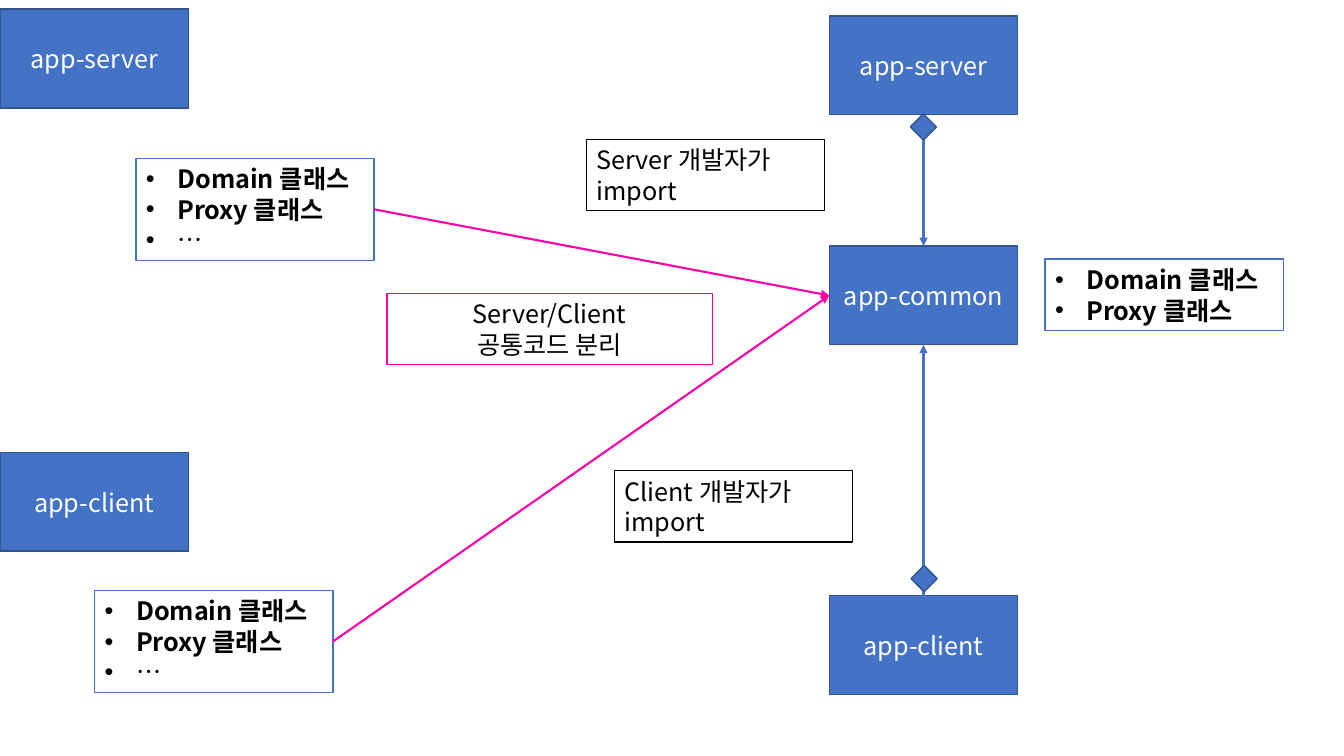
from lxml import etree
from pptx import Presentation
from pptx.dml.color import RGBColor
from pptx.enum.shapes import MSO_CONNECTOR, MSO_SHAPE
from pptx.enum.text import MSO_ANCHOR, MSO_AUTO_SIZE, PP_ALIGN
from pptx.oxml.ns import qn
from pptx.util import Cm, Pt

BLUE, DARK_BLUE, PINK = "4472C4", "325491", "FF00A8"
BLACK, WHITE = "000000", "FFFFFF"
TOP, LEFT, BOTTOM, RIGHT = range(4)  # connection sites of a rectangle


def colour(value):
    return RGBColor.from_string(value)


class Diagram:
    font_name = "Noto Sans CJK KR"
    font_size = Pt(18)
    line_pitch = Pt(21.8)
    indent = Cm(0.79)

    def __init__(self, slide):
        self.slide = slide

    def shape(self, kind, left, top, width, height, fill, outline):
        shape = self.slide.shapes.add_shape(
            kind, Cm(left), Cm(top), Cm(width), Cm(height))
        shape.shadow.inherit = False
        shape.fill.solid()
        shape.fill.fore_color.rgb = colour(fill)
        shape.line.color.rgb = colour(outline)
        shape.line.width = Pt(1)
        return shape

    def label(self, shape, lines, ink, align, frame_format, bullets=False):
        frame = shape.text_frame
        for key, value in {"word_wrap": True, **frame_format}.items():
            setattr(frame, key, value)
        for number, line in enumerate(lines):
            paragraph = frame.paragraphs[0] if number == 0 else frame.add_paragraph()
            paragraph.alignment = align
            paragraph.line_spacing = self.line_pitch
            if bullets:
                self.bullet(paragraph)
            run = paragraph.add_run()
            run.text = line
            font_format = {"name": self.font_name, "size": self.font_size,
                           "bold": bullets and line != "…"}
            for key, value in font_format.items():
                setattr(run.font, key, value)
            run.font.color.rgb = colour(ink)
            east_asian = etree.Element(qn("a:ea"), typeface=self.font_name)
            run.font._element.find(qn("a:latin")).addnext(east_asian)

    def bullet(self, paragraph):
        properties = paragraph._p.get_or_add_pPr()
        properties.set("marL", str(self.indent))
        properties.set("indent", str(-self.indent))
        etree.SubElement(properties, qn("a:buFont"), typeface="Arial")
        etree.SubElement(properties, qn("a:buChar"), char="•")

    def module(self, name, left, top):
        box = self.shape(MSO_SHAPE.RECTANGLE, left, top, 4.75, 2.49, BLUE, DARK_BLUE)
        self.label(box, [name], WHITE, PP_ALIGN.CENTER,
                   {"vertical_anchor": MSO_ANCHOR.MIDDLE})
        return box

    def note(self, lines, left, top, width=6, outline=BLACK,
             align=PP_ALIGN.LEFT, bullets=False):
        height = 0.26 + 0.77 * len(lines)
        box = self.shape(MSO_SHAPE.RECTANGLE, left, top, width, height, WHITE, outline)
        self.label(box, lines, BLACK, align,
                   {"vertical_anchor": MSO_ANCHOR.TOP,
                    "auto_size": MSO_AUTO_SIZE.SHAPE_TO_FIT_TEXT}, bullets)
        return box

    def class_list(self, lines, left, top):
        return self.note(lines, left, top, outline=BLUE, bullets=True)

    def diamond(self, left, top):
        self.shape(MSO_SHAPE.DIAMOND, left, top, 0.66, 0.66, BLUE, DARK_BLUE)

    def arrow(self, source, source_site, target, target_site, ink):
        arrow = self.slide.shapes.add_connector(MSO_CONNECTOR.STRAIGHT, 0, 0, 0, 0)
        arrow.begin_connect(source, source_site)
        arrow.end_connect(target, target_site)
        arrow.line.color.rgb = colour(ink)
        arrow.line.width = Pt(1.5)
        outline = arrow._element.spPr.find(qn("a:ln"))
        etree.SubElement(outline, qn("a:tailEnd"), type="triangle")
        etree.SubElement(arrow._element.spPr, qn("a:effectLst"))


def main():
    presentation = Presentation()
    presentation.slide_width, presentation.slide_height = Cm(33.87), Cm(19.05)
    diagram = Diagram(presentation.slides.add_slide(presentation.slide_layouts[6]))
    shared_classes = ["Domain 클래스", "Proxy 클래스"]

    # Before: each module holds its own classes
    diagram.module("app-server", 0, 0.23)
    diagram.module("app-client", 0, 11.4)
    server_classes = diagram.class_list(shared_classes + ["…"], 3.43, 3.99)
    client_classes = diagram.class_list(shared_classes + ["…"], 2.39, 14.88)

    # After: both modules use the common one
    common = diagram.module("app-common", 20.9, 6.2)
    server = diagram.module("app-server", 20.9, 0.4)
    client = diagram.module("app-client", 20.9, 15.01)
    diagram.class_list(shared_classes, 26.34, 6.53)

    # Moving the shared code
    for classes in (server_classes, client_classes):
        diagram.arrow(classes, RIGHT, common, LEFT, PINK)
    diagram.note(["Server/Client", "공통코드 분리"], 9.75, 7.39, 8.2, PINK,
                 PP_ALIGN.CENTER)

    # Aggregation of the common module
    diagram.arrow(server, BOTTOM, common, TOP, BLUE)
    diagram.arrow(client, TOP, common, BOTTOM, BLUE)
    diagram.diamond(22.94, 2.87)
    diagram.diamond(22.96, 14.25)
    diagram.note(["Server 개발자가", "import"], 14.78, 3.51)
    diagram.note(["Client 개발자가", "import"], 15.49, 11.86)

    presentation.save("out.pptx")


if __name__ == "__main__":
    main()
